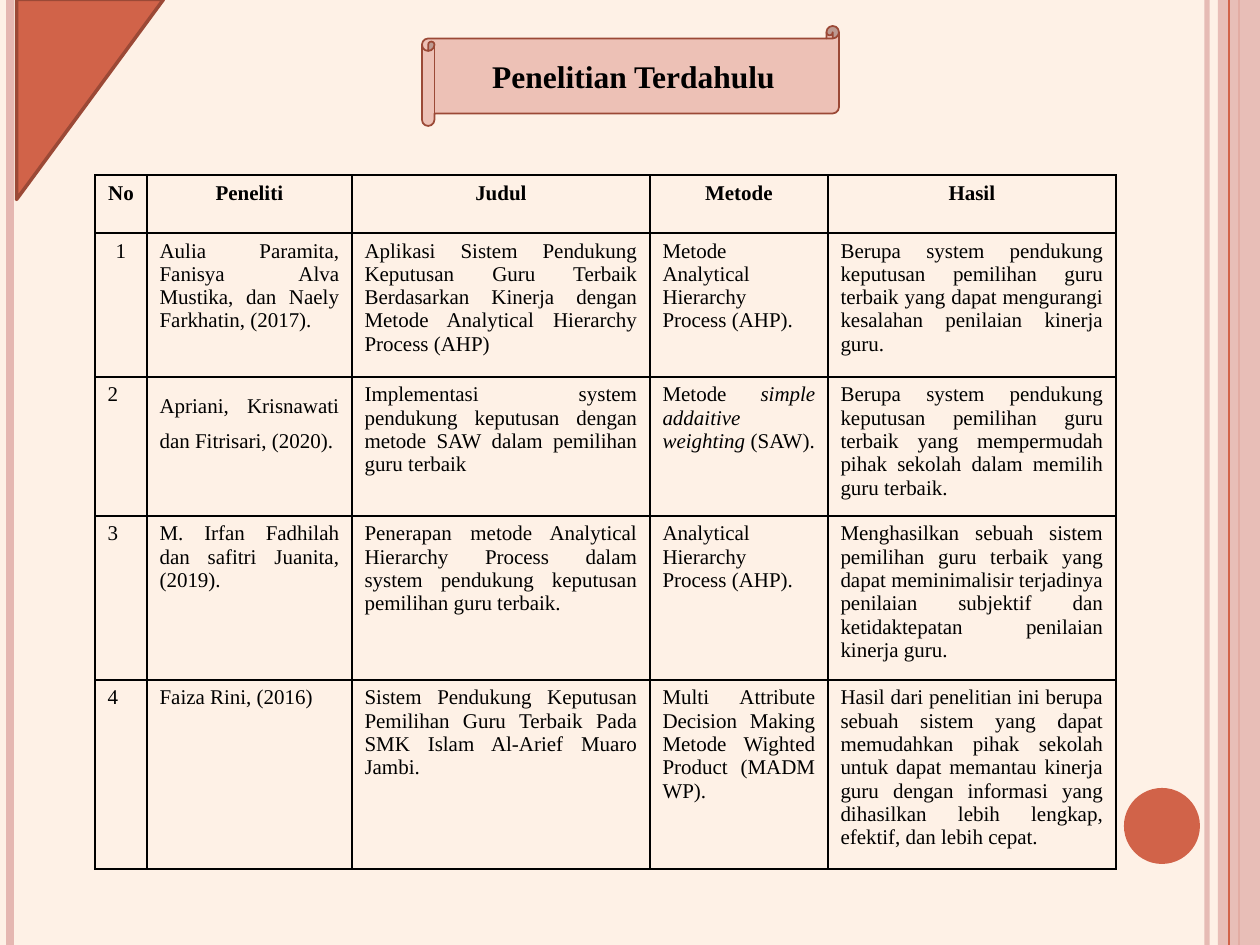
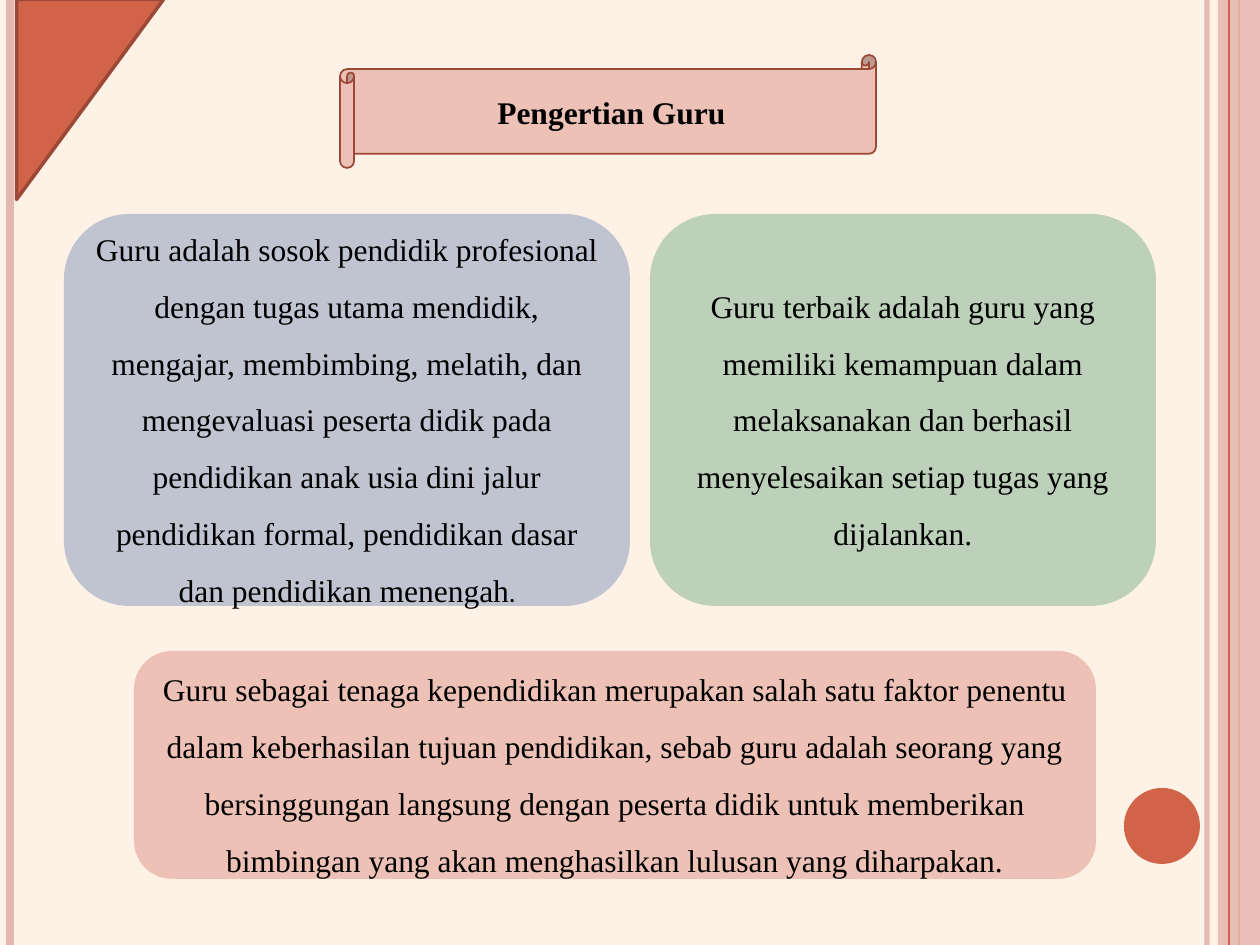
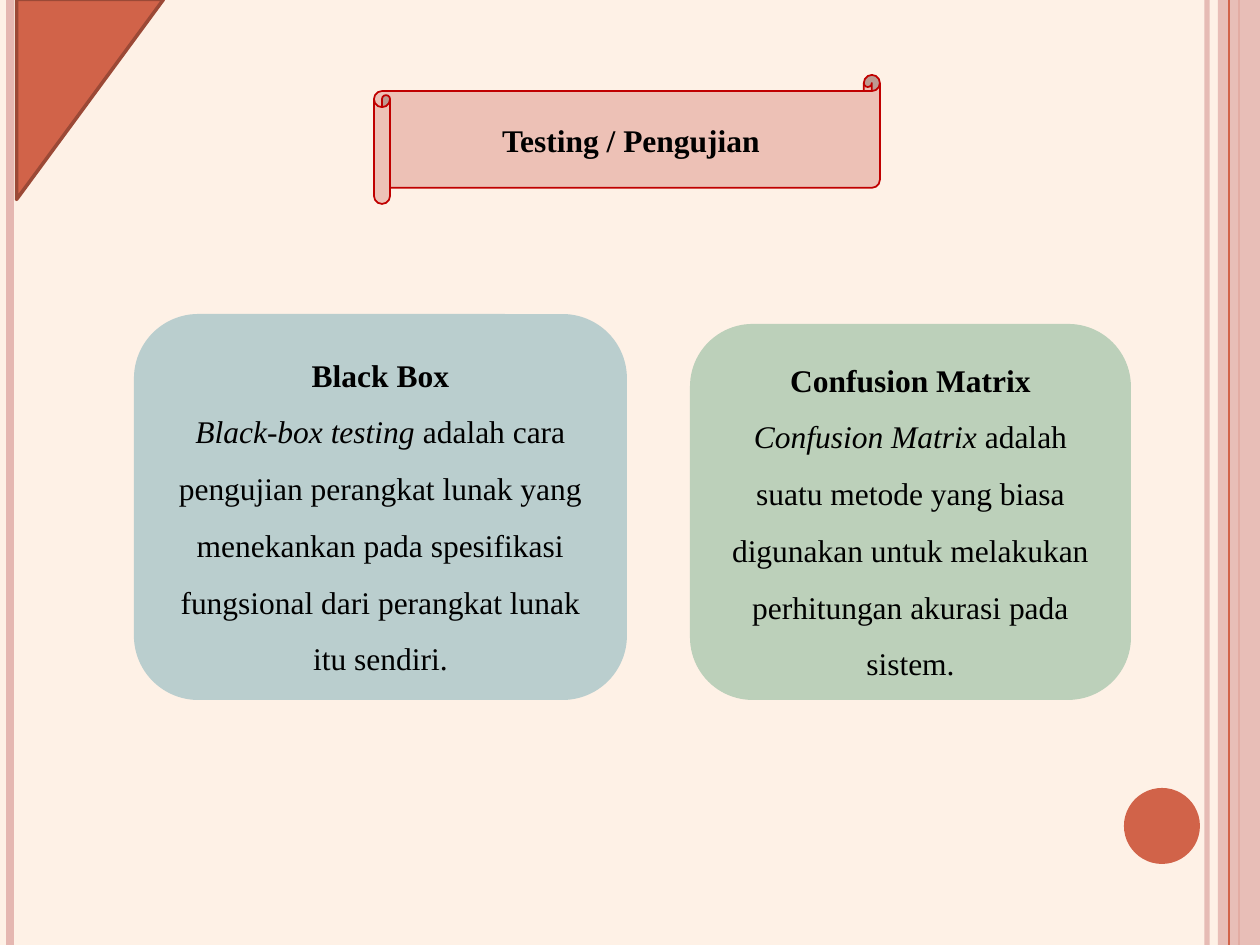
"""Build three slides on earlier research, the meaning of teacher, and testing."""
from lxml.etree import SubElement
from pptx import Presentation
from pptx.dml.color import RGBColor
from pptx.enum.shapes import MSO_CONNECTOR, MSO_SHAPE
from pptx.enum.text import MSO_ANCHOR, PP_ALIGN
from pptx.oxml.ns import qn
from pptx.util import Pt

PX = 914400 / 126
W, H = 1260, 945
COLORS = {
    "cream": "FEF1E6", "rose": "E5B7B1", "rust": "D16349", "brown": "9B4936",
    "pink": "EDC1B6", "red": "C00000", "blue": "C0C3D0", "green": "BCD0BA",
    "teal": "BACECE", "black": "000000",
}
RGB = {name: RGBColor.from_string(value) for name, value in COLORS.items()}
BOLD, ITALIC = {"bold": True}, {"italic": True}


def write(tf, paragraphs, size=18, font="Times New Roman", bold=False, italic=False,
          align=PP_ALIGN.CENTER, spacing=1.0, anchor=MSO_ANCHOR.MIDDLE):
    """Fill a text frame with paragraphs of runs, each a string or (string, format)."""
    tf.word_wrap = True
    tf.vertical_anchor = anchor
    for i, runs in enumerate(paragraphs):
        p = tf.paragraphs[0] if i == 0 else tf.add_paragraph()
        p.alignment, p.line_spacing = align, spacing
        for run in runs:
            text, own = (run, {}) if isinstance(run, str) else run
            r = p.add_run()
            r.text = text
            r.font.size = Pt(own.get("size", size))
            r.font.name = own.get("font", font)
            r.font.bold = own.get("bold", bold)
            r.font.italic = own.get("italic", italic)
            r.font.color.rgb = RGB["black"]


def add_box(s, kind, box, fill, line=None, width=1):
    """Add a preset shape at a px box of left, top, width, height."""
    sp = s.shapes.add_shape(kind, *(round(v * PX) for v in box))
    sp.shadow.inherit = False
    sp.fill.solid()
    sp.fill.fore_color.rgb = RGB[fill]
    if line:
        sp.line.color.rgb = RGB[line]
        sp.line.width = Pt(width)
    else:
        sp.line.fill.background()
    return sp


prs = Presentation()
prs.slide_width, prs.slide_height = round(W * PX), round(H * PX)
prs.slide_master.background.fill.solid()
prs.slide_master.background.fill.fore_color.rgb = RGB["cream"]
blank = prs.slide_layouts[6]
for ph in list(blank.placeholders):
    blank.shapes.element.remove(ph.element)

titles = [
    ("Penelitian Terdahulu", (422, 26, 417, 100), "brown"),
    ("Pengertian Guru", (340, 55, 536, 113), "brown"),
    ("Testing / Pengujian", (374, 75, 506, 129), "red"),
]
slides = [prs.slides.add_slide(blank) for _ in titles]

s = slides[0]
bands = []
for x, color, width in [(1207, "rose", 3), (10, "rose", 4.5), (1239, "rust", 1.5),
                        (1229, "rust", 0.75)]:
    line = s.shapes.add_connector(MSO_CONNECTOR.STRAIGHT, round(x * PX), 0,
                                  round(x * PX), round(H * PX))
    line.line.color.rgb = RGB[color]
    line.line.width = Pt(width)
    SubElement(line.element.spPr, qn("a:effectLst"))
    bands.append(line)
strip = add_box(s, MSO_SHAPE.RECTANGLE, (1218, 0, 42, H), "rose")
bands.insert(3, strip)
bands.append(add_box(s, MSO_SHAPE.OVAL, (1124, 788, 76, 76), "rust"))
for sp, opacity in [(bands[0], 93), (strip, 87)]:
    color = next(sp.element.spPr.iter(qn("a:srgbClr")))
    SubElement(color, qn("a:alpha")).set("val", str(opacity * 1000))
for sp in bands:
    blank.shapes.element.append(sp.element)

for s, (title, box, line) in zip(slides, titles):
    sp = add_box(s, MSO_SHAPE.HORIZONTAL_SCROLL, box, "pink", line)
    write(sp.text_frame, [[title]], bold=True)
    sp = add_box(s, MSO_SHAPE.RIGHT_TRIANGLE, (-10, 26, 200, 147), "rust", "brown", 2)
    sp.rotation = 90

rows = [
    ["No", "Peneliti", "Judul", "Metode", "Hasil"],
    ["1", "Aulia Paramita, Fanisya Alva Mustika, dan Naely Farkhatin, (2017).",
     "Aplikasi Sistem Pendukung Keputusan Guru Terbaik Berdasarkan Kinerja dengan "
     "Metode Analytical Hierarchy Process (AHP)",
     "Metode Analytical Hierarchy Process (AHP).",
     "Berupa system pendukung keputusan pemilihan guru terbaik yang dapat mengurangi "
     "kesalahan penilaian kinerja guru."],
    ["2", "Apriani, Krisnawati dan Fitrisari, (2020).",
     "Implementasi system pendukung keputusan dengan metode SAW dalam pemilihan guru terbaik",
     ["Metode ", ("simple addaitive weighting ", ITALIC), "(SAW)."],
     "Berupa system pendukung keputusan pemilihan guru terbaik yang mempermudah pihak "
     "sekolah dalam memilih guru terbaik."],
    ["3", "M. Irfan Fadhilah dan safitri Juanita, (2019).",
     "Penerapan metode Analytical Hierarchy Process dalam system pendukung keputusan "
     "pemilihan guru terbaik.",
     "Analytical Hierarchy Process (AHP).",
     "Menghasilkan sebuah sistem pemilihan guru terbaik yang dapat meminimalisir "
     "terjadinya penilaian subjektif dan ketidaktepatan penilaian kinerja guru."],
    ["4", "Faiza Rini, (2016)",
     "Sistem Pendukung Keputusan Pemilihan Guru Terbaik Pada SMK Islam Al-Arief Muaro Jambi.",
     "Multi Attribute Decision Making Metode Wighted Product (MADM WP).",
     "Hasil dari penelitian ini berupa sebuah sistem yang dapat memudahkan pihak sekolah "
     "untuk dapat memantau kinerja guru dengan informasi yang dihasilkan lebih lengkap, "
     "efektif, dan lebih cepat."],
]
col_widths = [52, 205, 298, 178, 288]
row_heights = [58, 144, 139, 164, 189]
frame = slides[0].shapes.add_table(
    len(rows), len(col_widths),
    *(round(v * PX) for v in (95, 175, sum(col_widths), sum(row_heights))))
table = frame.table
table.first_row = table.horz_banding = False
for col, width in zip(table.columns, col_widths):
    col.width = round(width * PX)
for row, height in zip(table.rows, row_heights):
    row.height = round(height * PX)
for i, row in enumerate(rows):
    for j, content in enumerate(row):
        cell = table.cell(i, j)
        tcPr = cell._tc.get_or_add_tcPr()
        for side in ("a:lnL", "a:lnR", "a:lnT", "a:lnB"):
            ln = SubElement(tcPr, qn(side), w=str(Pt(1)))
            fill = SubElement(ln, qn("a:solidFill"))
            SubElement(fill, qn("a:srgbClr"), val=COLORS["black"])
        cell.fill.background()
        if i == 0 or (i, j) == (1, 0):
            align = PP_ALIGN.CENTER
        else:
            align = PP_ALIGN.JUSTIFY if j else PP_ALIGN.LEFT
        runs = [content] if isinstance(content, str) else content
        write(cell.text_frame, [runs], size=12, bold=i == 0, align=align,
              spacing=1.5 if (i, j) == (2, 1) else 1.0, anchor=MSO_ANCHOR.TOP)

cards = [
    (slides[1], (64, 214, 566, 392), "blue", [[
        "Guru adalah sosok pendidik profesional dengan tugas utama mendidik, mengajar, "
        "membimbing, melatih, dan mengevaluasi peserta didik pada pendidikan anak usia dini "
        "jalur pendidikan formal, pendidikan dasar dan pendidikan menengah",
        (".", {"size": 16, "font": "Cambria"})]]),
    (slides[1], (650, 214, 506, 392), "green", [[
        "Guru terbaik adalah guru yang memiliki kemampuan dalam melaksanakan dan berhasil "
        "menyelesaikan setiap tugas yang dijalankan."]]),
    (slides[1], (134, 651, 962, 228), "pink", [[
        "Guru sebagai tenaga kependidikan merupakan salah satu faktor penentu dalam "
        "keberhasilan tujuan pendidikan, sebab guru adalah seorang yang bersinggungan "
        "langsung dengan peserta didik untuk memberikan bimbingan yang akan menghasilkan "
        "lulusan yang diharpakan."]]),
    (slides[2], (134, 314, 493, 386), "teal", [
        [("Black Box", BOLD)],
        [("Black-box testing ", ITALIC),
         "adalah cara pengujian perangkat lunak yang menekankan pada spesifikasi fungsional "
         "dari perangkat lunak itu sendiri."]]),
    (slides[2], (690, 324, 441, 376), "green", [
        [("Confusion Matrix", BOLD)],
        [("Confusion Matrix", ITALIC),
         " adalah suatu metode yang biasa digunakan untuk melakukan perhitungan akurasi "
         "pada sistem."]]),
]
for s, box, fill, paragraphs in cards:
    sp = add_box(s, MSO_SHAPE.ROUNDED_RECTANGLE, box, fill)
    write(sp.text_frame, paragraphs, spacing=1.5)

prs.save("out.pptx")
